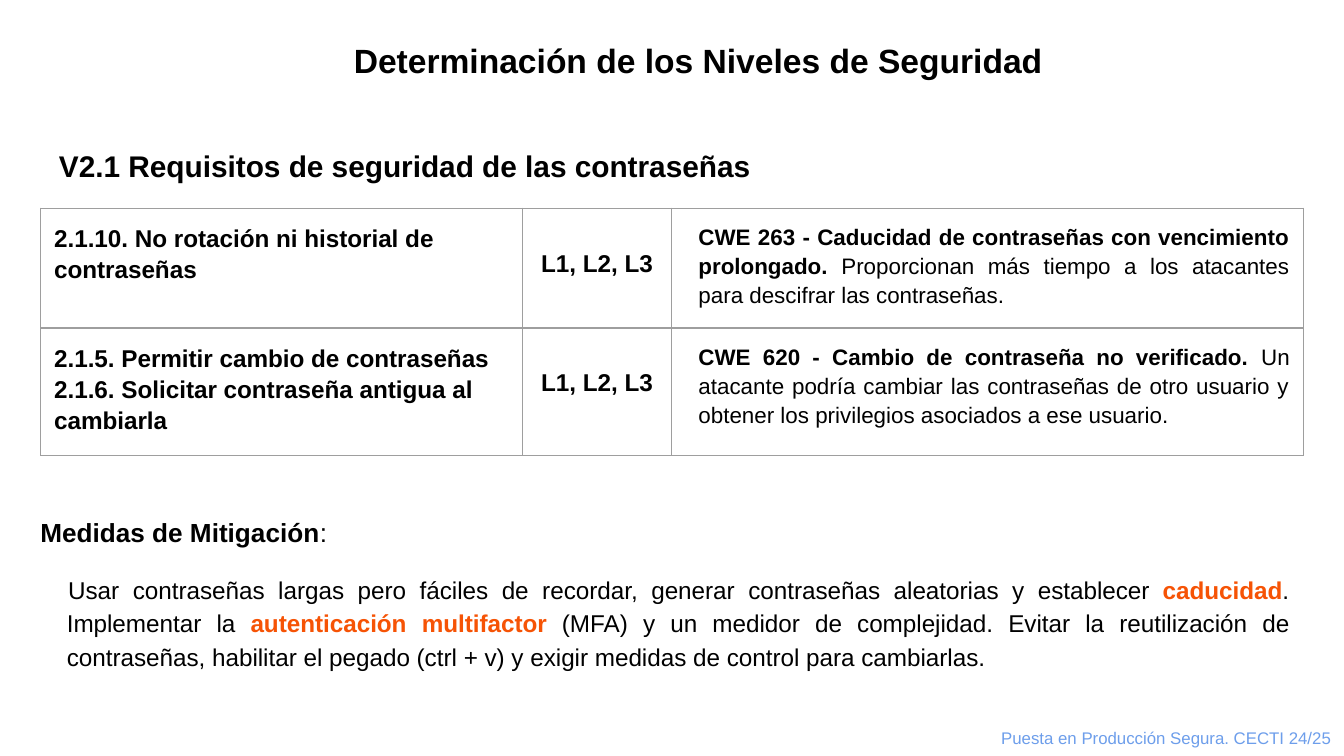
from dataclasses import dataclass

from lxml import etree
from pptx import Presentation
from pptx.dml.color import RGBColor
from pptx.enum.text import MSO_ANCHOR, PP_ALIGN
from pptx.oxml.ns import qn
from pptx.util import Pt

LEFT, CENTER, RIGHT, JUSTIFY = PP_ALIGN.LEFT, PP_ALIGN.CENTER, PP_ALIGN.RIGHT, PP_ALIGN.JUSTIFY
TOP, BOTTOM = MSO_ANCHOR.TOP, MSO_ANCHOR.BOTTOM


@dataclass(frozen=True)
class Theme:
    font: str = "Arial"
    text: str = "000000"
    accent: str = "F65305"
    footer: str = "6D9EEB"
    border: str = "9E9E9E"
    border_width: float = 0.75
    title_size: float = 18
    section_size: float = 16
    heading_size: float = 14
    body_size: float = 13
    detail_size: float = 12
    footer_size: float = 9
    inset: float = 7.2
    line_spacing: float = 1.15


THEME = Theme()

REQUIREMENTS = [
    (["2.1.10. No rotación ni historial de contraseñas"], "L1, L2, L3",
     "CWE 263 - Caducidad de contraseñas con vencimiento prolongado. ",
     "Proporcionan más tiempo a los atacantes para descifrar las contraseñas."),
    (["2.1.5. Permitir cambio de contraseñas",
      "2.1.6. Solicitar contraseña antigua al cambiarla"], "L1, L2, L3",
     "CWE 620 - Cambio de contraseña no verificado. ",
     "Un atacante podría cambiar las contraseñas de otro usuario y obtener "
     "los privilegios asociados a ese usuario."),
]

MITIGATION = [
    ("Usar contraseñas largas pero fáciles de recordar, generar contraseñas "
     "aleatorias y establecer ", False),
    ("caducidad", True),
    (". Implementar la ", False),
    ("autenticación multifactor", True),
    (" (MFA) y un medidor de complejidad. Evitar la reutilización de contraseñas, "
     "habilitar el pegado (ctrl + v) y exigir medidas de control para cambiarlas.", False),
]


def add_run(paragraph, text, size, bold=False, color=THEME.text):
    run = paragraph.add_run()
    run.text = text
    run.font.name = THEME.font
    run.font.size = Pt(size)
    run.font.bold = bold
    run.font.color.rgb = RGBColor.from_string(color)


def format_paragraph(paragraph, align, spacing=THEME.line_spacing, left=0, first=0):
    paragraph.alignment = align
    paragraph.line_spacing = spacing
    properties = paragraph._p.get_or_add_pPr()
    properties.set("marL", str(Pt(left)))
    properties.set("indent", str(Pt(first)))


def add_text_frame(slide, box, anchor=TOP, left_inset=THEME.inset):
    text_frame = slide.shapes.add_textbox(*(Pt(value) for value in box)).text_frame
    text_frame.word_wrap = True
    text_frame.vertical_anchor = anchor
    text_frame.margin_left = Pt(left_inset)
    text_frame.margin_top = text_frame.margin_right = text_frame.margin_bottom = Pt(THEME.inset)
    return text_frame


def add_line(slide, box, text, size, align, bold=True, color=THEME.text,
             anchor=TOP, spacing=THEME.line_spacing, first=0):
    paragraph = add_text_frame(slide, box, anchor).paragraphs[0]
    format_paragraph(paragraph, align, spacing, first=first)
    add_run(paragraph, text, size, bold, color)


def style_cell(cell, top_inset=THEME.inset):
    cell.margin_left = cell.margin_right = cell.margin_bottom = Pt(THEME.inset)
    cell.margin_top = Pt(top_inset)
    cell.vertical_anchor = TOP
    cell.fill.background()
    properties = cell._tc.get_or_add_tcPr()
    for position, side in enumerate(("lnL", "lnR", "lnT", "lnB")):
        line = etree.Element(qn(f"a:{side}"), w=str(Pt(THEME.border_width)))
        fill = etree.SubElement(line, qn("a:solidFill"))
        etree.SubElement(fill, qn("a:srgbClr"), val=THEME.border)
        properties.insert(position, line)


def add_requirements_table(slide, box):
    left, top, width, height = box
    table = slide.shapes.add_table(len(REQUIREMENTS), 3, Pt(left), Pt(top),
                                   Pt(width), Pt(height)).table
    table.first_row = table.horz_banding = False
    level_width, detail_width = 80, 338.4
    widths = (width - level_width - detail_width, level_width, detail_width)
    for column, column_width in zip(table.columns, widths):
        column.width = Pt(column_width)
    first_height = 60.5
    for row, row_height in zip(table.rows, (first_height, height - first_height)):
        row.height = Pt(row_height)

    for row, (names, levels, weakness, explanation) in zip(table.rows, REQUIREMENTS):
        name_cell, level_cell, detail_cell = row.cells
        # Requirement names
        style_cell(name_cell)
        name_cell.text_frame.text = "\n".join([""] * len(names))
        for paragraph, name in zip(name_cell.text_frame.paragraphs, names):
            format_paragraph(paragraph, LEFT)
            add_run(paragraph, name, THEME.body_size, True)
        # Levels, lowered to sit level with the second line
        style_cell(level_cell, top_inset=22.5)
        paragraph = level_cell.text_frame.paragraphs[0]
        format_paragraph(paragraph, CENTER, 1.0)
        add_run(paragraph, levels, THEME.body_size, True)
        # Weakness and its explanation
        style_cell(detail_cell)
        paragraph = detail_cell.text_frame.paragraphs[0]
        format_paragraph(paragraph, JUSTIFY, left=7.2)
        add_run(paragraph, weakness, THEME.detail_size, True)
        add_run(paragraph, explanation, THEME.detail_size)


def add_mitigation(slide, box):
    text_frame = add_text_frame(slide, box, left_inset=0)
    heading = text_frame.paragraphs[0]
    format_paragraph(heading, JUSTIFY)
    add_run(heading, "Medidas de Mitigación", THEME.heading_size, True)
    add_run(heading, ": ", THEME.heading_size)
    body = text_frame.add_paragraph()
    format_paragraph(body, JUSTIFY, left=14.2, first=0.7)
    body.space_before = Pt(12)
    for text, highlighted in MITIGATION:
        add_run(body, text, THEME.body_size, highlighted,
                THEME.accent if highlighted else THEME.text)


def main():
    presentation = Presentation()
    presentation.slide_width, presentation.slide_height = Pt(720), Pt(405)
    slide = presentation.slides.add_slide(presentation.slide_layouts[6])

    # Section heading, table and measures
    add_line(slide, (24.5, 69.1, 671, 36.7),
             "V2.1 Requisitos de seguridad de las contraseñas",
             THEME.section_size, JUSTIFY)
    add_mitigation(slide, (21.6, 267.1, 676, 116.6))
    add_requirements_table(slide, (21.8, 111.6, 676.4, 124.8))
    # Title and footer
    add_line(slide, (88.6, 13.7, 542.9, 36.7), "Determinación de los Niveles de Seguridad",
             THEME.title_size, CENTER, anchor=BOTTOM, spacing=1.2, first=28.1)
    add_line(slide, (519.8, 384.5, 200.2, 20.9), "Puesta en Producción Segura. CECTI 24/25",
             THEME.footer_size, RIGHT, bold=False, color=THEME.footer, spacing=1.0)
    presentation.save("out.pptx")


if __name__ == "__main__":
    main()
